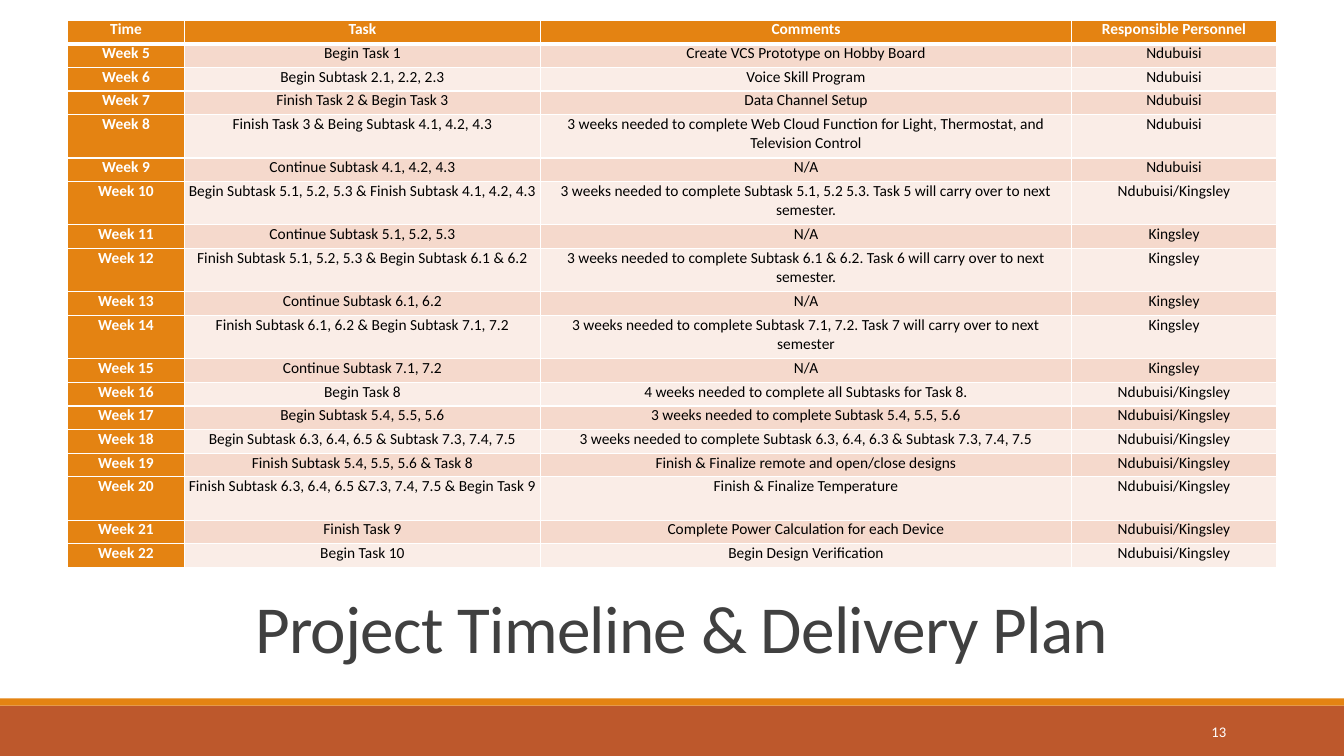
from typing import NamedTuple

from lxml.etree import SubElement as Sub
from pptx import Presentation
from pptx.dml.color import RGBColor
from pptx.enum.shapes import MSO_SHAPE as Shape
from pptx.enum.text import MSO_ANCHOR as Anchor, PP_ALIGN as Align
from pptx.oxml.ns import qn
from pptx.util import Inches, Pt

WHITE = RGBColor(0xFF, 0xFF, 0xFF)
BLACK = RGBColor(0, 0, 0)
GREY = RGBColor(0x40, 0x40, 0x40)
ORANGE = RGBColor(0xE4, 0x83, 0x12)
RUST = RGBColor(0xBD, 0x58, 0x2C)
PEACH = RGBColor(0xF5, 0xD9, 0xCC)
PALE = RGBColor(0xFA, 0xED, 0xE7)
FACE = "Calibri"

WIDTHS = (1.16, 3.53, 5.27, 2.03)
HEIGHT = 5.43
TALL = 0.43
HEADS = ("Time", "Task", "Comments", "Responsible Personnel")
FIRST = 5
ND, KI = "Ndubuisi", "Kingsley"
BOTH = f"{ND}/{KI}"


class Week(NamedTuple):
    task: str
    note: str
    who: str
    tall: bool = False


class Band(NamedTuple):
    top: float
    height: float
    color: RGBColor


class Label(NamedTuple):
    text: str
    box: tuple[float, float, float, float]
    size: float
    color: RGBColor
    align: Align


WEEKS = (
    Week("Begin Task 1", "Create VCS Prototype on Hobby Board", ND),
    Week("Begin Subtask 2.1, 2.2, 2.3", "Voice Skill Program", ND),
    Week("Finish Task 2 & Begin Task 3", "Data Channel Setup", ND),
    Week("Finish Task 3 & Being Subtask 4.1, 4.2, 4.3",
         "3 weeks needed to complete Web Cloud Function for Light, Thermostat, and Television Control",
         ND, True),
    Week("Continue Subtask 4.1, 4.2, 4.3", "N/A", ND),
    Week("Begin Subtask 5.1, 5.2, 5.3 & Finish Subtask 4.1, 4.2, 4.3",
         "3 weeks needed to complete Subtask 5.1, 5.2 5.3. Task 5 will carry over to next semester.",
         BOTH, True),
    Week("Continue Subtask 5.1, 5.2, 5.3", "N/A", KI),
    Week("Finish Subtask 5.1, 5.2, 5.3 & Begin Subtask 6.1 & 6.2",
         "3 weeks needed to complete Subtask 6.1 & 6.2. Task 6 will carry over to next semester.",
         KI, True),
    Week("Continue Subtask 6.1, 6.2", "N/A", KI),
    Week("Finish Subtask 6.1, 6.2 & Begin Subtask 7.1, 7.2",
         "3 weeks needed to complete Subtask 7.1, 7.2. Task 7 will carry over to next semester",
         KI, True),
    Week("Continue Subtask 7.1, 7.2", "N/A", KI),
    Week("Begin Task 8", "4 weeks needed to complete all Subtasks for Task 8.", BOTH),
    Week("Begin Subtask 5.4, 5.5, 5.6", "3 weeks needed to complete Subtask 5.4, 5.5, 5.6", BOTH),
    Week("Begin Subtask 6.3, 6.4, 6.5 & Subtask 7.3, 7.4, 7.5",
         "3 weeks needed to complete Subtask 6.3, 6.4, 6.3 & Subtask 7.3, 7.4, 7.5", BOTH),
    Week("Finish Subtask 5.4, 5.5, 5.6 & Task 8",
         "Finish & Finalize remote and open/close designs", BOTH),
    Week("Finish Subtask 6.3, 6.4, 6.5 &7.3, 7.4, 7.5 & Begin Task 9",
         "Finish & Finalize Temperature", BOTH, True),
    Week("Finish Task 9", "Complete Power Calculation for each Device", BOTH),
    Week("Begin Task 10", "Begin Design Verification", BOTH),
)
BANDS = (Band(7, 0.5, RUST), Band(6.93, 0.07, ORANGE))
TITLE = Label("Project Timeline & Delivery Plan", (1.26, 5.63, 11, 1.3), 48, GREY, Align.CENTER)
NUMBER = Label("13", (10.83, 7.06, 1.43, 0.4), 10.5, WHITE, Align.RIGHT)


def style(font, size: float, color: RGBColor, bold: bool = False) -> None:
    font.name = FACE
    font.size = Pt(size)
    font.bold = bold
    font.color.rgb = color


def draw_band(slide, band: Band) -> None:
    bar = slide.shapes.add_shape(
        Shape.RECTANGLE, 0, Inches(band.top), Inches(13.33), Inches(band.height))
    bar.shadow.inherit = False
    bar.fill.solid()
    bar.fill.fore_color.rgb = band.color
    bar.line.fill.background()


def draw_label(slide, label: Label):
    frame = slide.shapes.add_textbox(*map(Inches, label.box)).text_frame
    frame.word_wrap = True
    frame.vertical_anchor = Anchor.MIDDLE
    frame.text = label.text
    para = frame.paragraphs[0]
    para.alignment = label.align
    style(para.runs[0].font, label.size, label.color)
    return para


def edge_cell(cell, row: int) -> None:
    props = cell._tc.get_or_add_tcPr()
    wide = {"T": 3 if row == 1 else 1, "B": 3 if row == 0 else 1}
    for pos, side in enumerate("LRTB"):
        line = Sub(props, qn(f"a:ln{side}"), w=str(Pt(wide.get(side, 1))))
        fill = Sub(line, qn("a:solidFill"))
        Sub(fill, qn("a:srgbClr"), val=str(WHITE))
        props.insert(pos, line)


def fill_cell(cell, text: str, row: int, col: int) -> None:
    head = row == 0 or col == 0
    cell.fill.solid()
    cell.fill.fore_color.rgb = ORANGE if head else PEACH if row % 2 else PALE
    cell.margin_left = cell.margin_right = Inches(0.03)
    cell.margin_top = cell.margin_bottom = 0
    cell.text_frame.text = text
    para = cell.text_frame.paragraphs[0]
    para.alignment = Align.CENTER
    para.space_before = para.space_after = Pt(1)
    style(para.runs[0].font, 11, WHITE if head else BLACK, head)
    edge_cell(cell, row)


def draw_plan(slide) -> None:
    rows = [HEADS] + [
        (f"Week {num}", week.task, week.note, week.who)
        for num, week in enumerate(WEEKS, FIRST)]
    tall = [False] + [week.tall for week in WEEKS]
    low = (HEIGHT - TALL * sum(tall)) / tall.count(False)
    table = slide.shapes.add_table(
        len(rows), len(HEADS), Inches(0.67), Inches(0.2),
        Inches(sum(WIDTHS)), Inches(HEIGHT)).table
    table.horz_banding = False
    for col, width in zip(table.columns, WIDTHS):
        col.width = Inches(width)
    for row, texts in enumerate(rows):
        table.rows[row].height = Inches(TALL if tall[row] else low)
        for col, text in enumerate(texts):
            fill_cell(table.cell(row, col), text, row, col)


def main() -> None:
    deck = Presentation()
    deck.slide_width, deck.slide_height = Inches(13.33), Inches(7.5)
    slide = deck.slides.add_slide(deck.slide_layouts[6])
    for band in BANDS:
        draw_band(slide, band)
    title = draw_label(slide, TITLE)
    title.line_spacing = 0.85
    title.runs[0].font._element.set("spc", "-50")
    draw_label(slide, NUMBER)
    draw_plan(slide)
    deck.save("out.pptx")


if __name__ == "__main__":
    main()
